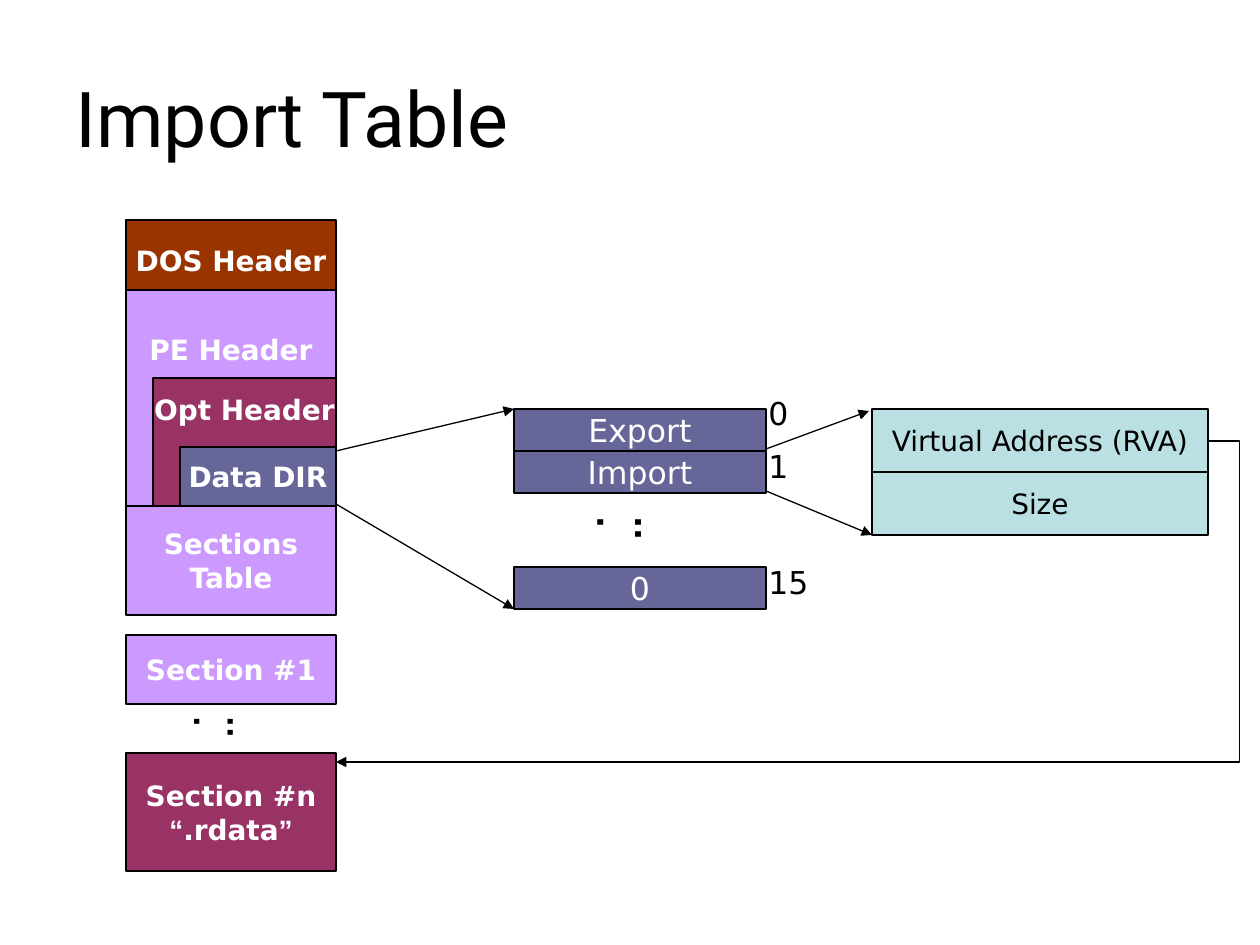
from dataclasses import dataclass
from itertools import groupby

from pptx import Presentation
from pptx import util as u
from pptx.dml.color import RGBColor
from pptx.enum import shapes, text
from pptx.oxml import ns, xmlchemy

EMU_PER_PX = 914400 / 126
BLACK = RGBColor(0x00, 0x00, 0x00)
WHITE = RGBColor(0xFF, 0xFF, 0xFF)
BROWN = RGBColor(0x99, 0x33, 0x00)
LILAC = RGBColor(0xCC, 0x99, 0xFF)
PLUM = RGBColor(0x99, 0x33, 0x66)
SLATE = RGBColor(0x66, 0x66, 0x99)
PALE_BLUE = RGBColor(0xBB, 0xE0, 0xE3)
BODY_FONT = "DejaVu Sans"
QUOTE_FONT = "Arial"
QUOTES = "“”"

FILE_LEFT, FILE_WIDTH = 126, 210
FILE_RIGHT = FILE_LEFT + FILE_WIDTH
DIRECTORY_LEFT, DIRECTORY_WIDTH = 514, 252
DIRECTORY_RIGHT = DIRECTORY_LEFT + DIRECTORY_WIDTH
ENTRY_LEFT, ENTRY_WIDTH = 872, 336
TABLE_TOP, ROW_HEIGHT, ENTRY_HEIGHT = 409, 42, 63
LAST_ROW_TOP = 567


@dataclass
class Box:
    label: str
    left: int
    top: int
    width: int
    height: int
    fill: RGBColor
    color: RGBColor = WHITE
    size: int = 16
    bold: bool = False
    label_offset: int | None = None  # distance of the label from the top; None centres it


@dataclass
class Note:
    label: str
    left: int
    top: int
    width: int
    height: int
    size: int = 18
    vertical: bool = False


@dataclass
class Arrow:
    start: tuple[int, int]
    end: tuple[int, int]


def px(length: int) -> u.Emu:
    return u.Emu(round(length * EMU_PER_PX))


def file_part(label: str, top: int, height: int, fill: RGBColor,
              indent: int = 0, label_offset: int | None = None) -> Box:
    """Describe a block of the file column, flush with its right side."""
    return Box(label, FILE_LEFT + indent, top, FILE_WIDTH - indent, height, fill,
               bold=True, label_offset=label_offset)


def directory_row(label: str, top: int) -> Box:
    return Box(label, DIRECTORY_LEFT, top, DIRECTORY_WIDTH, ROW_HEIGHT, SLATE, size=18)


def entry_row(label: str, row: int) -> Box:
    return Box(label, ENTRY_LEFT, TABLE_TOP + row * ENTRY_HEIGHT, ENTRY_WIDTH,
               ENTRY_HEIGHT, PALE_BLUE, BLACK)


def index_note(label: str, top: int) -> Note:
    return Note(label, 756, top, 73, 50)


def style_font(font, name: str, size: int, color: RGBColor, bold: bool = False) -> None:
    font.name = name
    font.size = u.Pt(size)
    font.bold = bold
    font.color.rgb = color


def draw_box(container, box: Box) -> None:
    shape = container.add_shape(shapes.MSO_SHAPE.RECTANGLE, px(box.left), px(box.top),
                                px(box.width), px(box.height))
    shape.shadow.inherit = False
    shape.fill.solid()
    shape.fill.fore_color.rgb = box.fill
    shape.line.color.rgb = BLACK
    shape.line.width = u.Pt(0.75)
    frame = shape.text_frame
    frame.word_wrap = False
    frame.vertical_anchor = text.MSO_ANCHOR.MIDDLE
    if box.label_offset is not None:
        frame.vertical_anchor = text.MSO_ANCHOR.TOP
        frame.margin_top = px(box.label_offset)
    for number, line in enumerate(box.label.split("\n")):
        paragraph = frame.add_paragraph() if number else frame.paragraphs[0]
        paragraph.alignment = text.PP_ALIGN.CENTER
        for is_quote, characters in groupby(line, lambda character: character in QUOTES):
            run = paragraph.add_run()
            run.text = "".join(characters)
            style_font(run.font, QUOTE_FONT if is_quote else BODY_FONT,
                       box.size, box.color, box.bold)


def draw_note(container, note: Note) -> None:
    shape = container.add_textbox(px(note.left), px(note.top), px(note.width), px(note.height))
    frame = shape.text_frame
    frame.word_wrap = True
    if note.vertical:
        frame.margin_left = frame.margin_right = u.Inches(0.05)
        frame.margin_top = frame.margin_bottom = u.Inches(0.1)
        shape.element.txBody.bodyPr.set("vert", "eaVert")
    frame.text = note.label
    style_font(frame.paragraphs[0].runs[0].font, BODY_FONT, note.size, BLACK, note.vertical)


def draw_arrow(container, arrow: Arrow, kind=shapes.MSO_CONNECTOR.STRAIGHT):
    connector = container.add_connector(kind, *map(px, arrow.start + arrow.end))
    connector.line.color.rgb = BLACK
    connector.line.width = u.Pt(0.75)
    head = xmlchemy.OxmlElement("a:tailEnd")
    head.set("type", "triangle")
    connector.line._get_or_add_ln().append(head)
    connector.element.spPr.append(xmlchemy.OxmlElement("a:effectLst"))
    return connector


def draw_bent_arrow(container, arrow: Arrow, bend: int) -> None:
    """Draw an elbow arrow whose upright part stands at x = bend."""
    connector = draw_arrow(container, arrow, shapes.MSO_CONNECTOR.ELBOW)
    share = (bend - arrow.start[0]) / (arrow.end[0] - arrow.start[0])
    guide = xmlchemy.OxmlElement("a:gd")
    guide.set("name", "adj1")
    guide.set("fmla", f"val {round(share * 100000)}")
    geometry = connector.element.spPr.find(ns.qn("a:prstGeom"))
    geometry.find(ns.qn("a:avLst")).append(guide)


FILE_PARTS = [
    file_part("DOS Header", 220, 80, BROWN),
    file_part("PE Header", 290, 216, LILAC, label_offset=43),
    file_part("Opt Header", 378, 128, PLUM, indent=27, label_offset=15),
    file_part("Sections\nTable", 506, 109, LILAC),
    file_part("Section #1", 635, 69, LILAC),
    file_part("Section #n\n“.rdata”", 753, 118, PLUM),
    file_part("Data DIR", 447, 59, SLATE, indent=54),
]
TABLE_ROWS = [
    directory_row("Export", TABLE_TOP),
    directory_row("Import", TABLE_TOP + ROW_HEIGHT),
    directory_row("0", LAST_ROW_TOP),
    entry_row("Virtual Address (RVA)", 0),
    entry_row("Size", 1),
]
NOTES = [
    Note("...", 610, 504, 63, 53, vertical=True),
    index_note("0", 388),
    index_note("1", 441),
    index_note("15", 557),
]
FILE_DOTS = Note("...", 204, 704, 58, 49, size=16, vertical=True)
ARROWS = [
    Arrow((FILE_RIGHT, 451), (DIRECTORY_LEFT, TABLE_TOP)),
    Arrow((FILE_RIGHT, 504), (DIRECTORY_LEFT, LAST_ROW_TOP + ROW_HEIGHT)),
    Arrow((DIRECTORY_RIGHT, 449), (869, 411)),
    Arrow((DIRECTORY_RIGHT, 491), (ENTRY_LEFT, TABLE_TOP + 2 * ENTRY_HEIGHT)),
]
ADDRESS_ARROW = Arrow((ENTRY_LEFT + ENTRY_WIDTH, 441), (FILE_RIGHT, 762))


def main() -> None:
    presentation = Presentation()
    presentation.slide_width, presentation.slide_height = px(1260), px(945)
    slide = presentation.slides.add_slide(presentation.slide_layouts[5])

    title = slide.shapes.title
    title.left, title.top, title.width, title.height = map(px, (63, 38, 1134, 158))
    title.text_frame.text = "Import Table"
    title.text_frame.vertical_anchor = text.MSO_ANCHOR.MIDDLE
    paragraph = title.text_frame.paragraphs[0]
    paragraph.alignment = text.PP_ALIGN.LEFT
    style_font(paragraph.runs[0].font, "Roboto", 44, BLACK)

    for arrow in ARROWS:
        draw_arrow(slide.shapes, arrow)
    for row in TABLE_ROWS:
        draw_box(slide.shapes, row)
    for note in NOTES:
        draw_note(slide.shapes, note)
    draw_bent_arrow(slide.shapes, ADDRESS_ARROW, bend=1239)

    file_layout = slide.shapes.add_group_shape().shapes
    for part in FILE_PARTS:
        draw_box(file_layout, part)
    draw_note(file_layout, FILE_DOTS)

    presentation.save("out.pptx")


if __name__ == "__main__":
    main()
